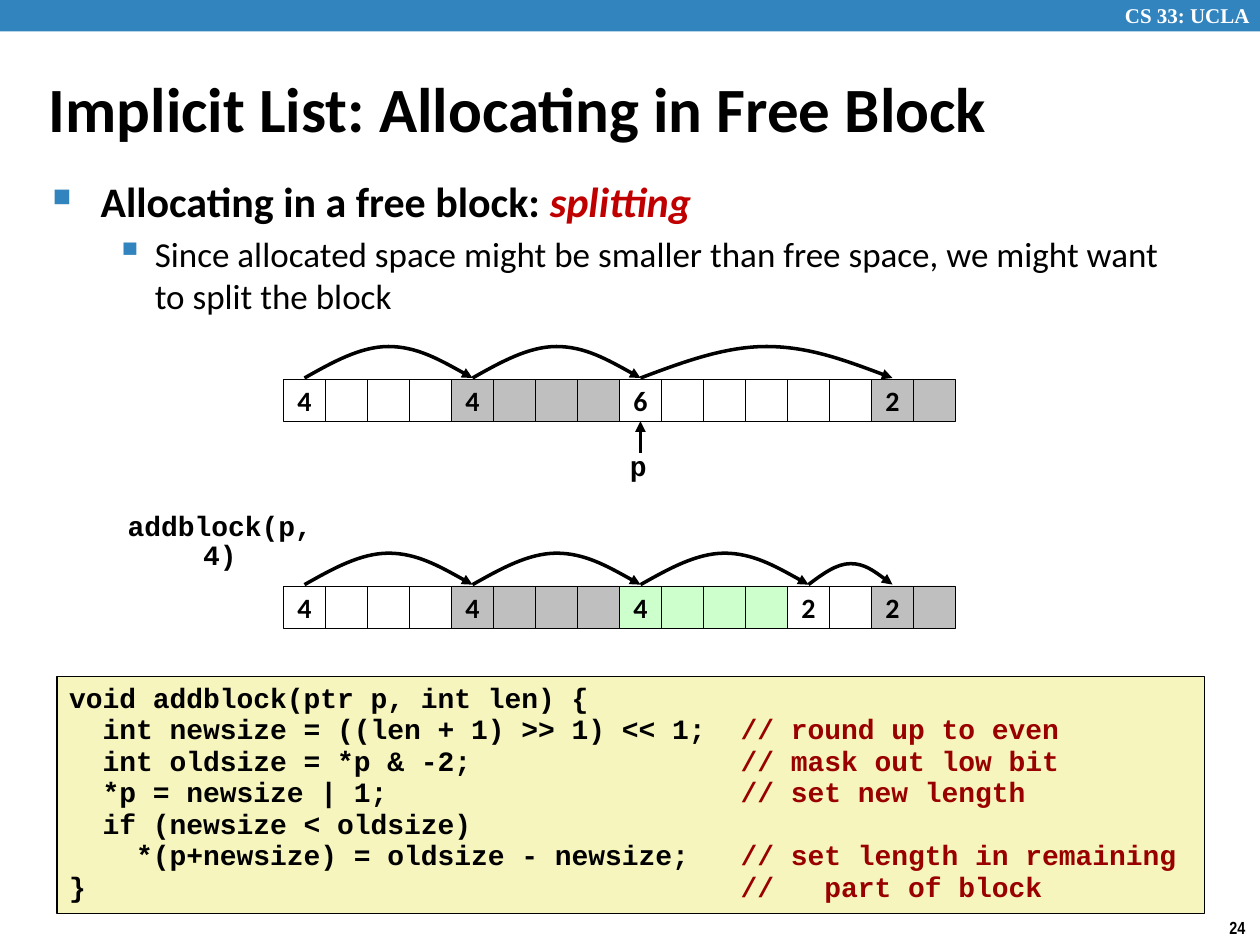
import pptx
import pptx.util
import pptx.dml.color
import pptx.enum.shapes
import pptx.enum.text
import pptx.oxml
import pptx.oxml.ns
import lxml.etree

Inches = pptx.util.Inches
Pt = pptx.util.Pt
qn = pptx.oxml.ns.qn
RECTANGLE = pptx.enum.shapes.MSO_SHAPE.RECTANGLE
CENTER = pptx.enum.text.PP_ALIGN.CENTER
MIDDLE = pptx.enum.text.MSO_ANCHOR.MIDDLE

COLORS = {
    "black": "000000", "white": "FFFFFF", "blue": "3284BF", "red": "C00000",
    "comment": "990000", "code": "F6F5BD", "used": "BFBFBF", "new": "CCFFCC",
}
CELL = 1 / 3
BODY = {"name": "Calibri", "size": Pt(20)}
LABEL = {"name": "Calibri", "size": Pt(16), "bold": True}
CODE = {"name": "Courier New", "size": Pt(16), "bold": True}

# Each block: length in cells, fill, number shown in its first cell
BLOCKS_BEFORE = [(4, "white", "4"), (4, "used", "4"), (6, "white", "6"), (2, "used", "2")]
BLOCKS_AFTER = [(4, "white", "4"), (4, "used", "4"), (4, "new", "4"),
                (2, "white", "2"), (2, "used", "2")]
CODE_LINES = [
    ("void addblock(ptr p, int len) {", ""),
    ("  int newsize = ((len + 1) >> 1) << 1;", "// round up to even"),
    ("  int oldsize = *p & -2;", "// mask out low bit"),
    ("  *p = newsize | 1;", "// set new length"),
    ("  if (newsize < oldsize)", ""),
    ("    *(p+newsize) = oldsize - newsize;", "// set length in remaining"),
    ("}", "//   part of block"),
]


def rgb(name):
    return pptx.dml.color.RGBColor.from_string(COLORS[name])


def add_span(para, text, style, color="black"):
    span = para.add_run()
    span.text = text
    for key, value in style.items():
        setattr(span.font, key, value)
    span.font.color.rgb = rgb(color)


def add_text(page, bounds, text, style, color="black", wrap=False, **para_format):
    box = page.shapes.add_textbox(*map(Inches, bounds))
    box.text_frame.word_wrap = wrap
    para = box.text_frame.paragraphs[0]
    for key, value in para_format.items():
        setattr(para, key, value)
    if text:
        add_span(para, text, style, color)
    return box


def add_rectangle(page, bounds, fill, line_width=None):
    box = page.shapes.add_shape(RECTANGLE, *map(Inches, bounds))
    box.shadow.inherit = False
    box.fill.solid()
    box.fill.fore_color.rgb = rgb(fill)
    if line_width is None:
        box.line.fill.background()
    else:
        box.line.color.rgb = rgb("black")
        box.line.width = Pt(line_width)
    return box


def style_arrow(arrow):
    arrow.line.color.rgb = rgb("black")
    arrow.line.width = Pt(2)
    line = arrow.line._get_or_add_ln()
    lxml.etree.SubElement(line, qn("a:tailEnd"), type="triangle")


def add_bullet(para, char, percent, margin, hanging):
    props = para._p.get_or_add_pPr()
    props.set("marL", str(Inches(margin)))
    props.set("indent", str(-Inches(hanging)))
    color = lxml.etree.SubElement(props, qn("a:buClr"))
    lxml.etree.SubElement(color, qn("a:srgbClr"), val=COLORS["blue"])
    lxml.etree.SubElement(props, qn("a:buSzPct"), val=str(percent * 1000))
    lxml.etree.SubElement(props, qn("a:buChar"), char=char)


def add_arc(page, start, end, base):
    """Draw a curved arrow between two points on the line at height base."""
    width = end - start
    height = min(0.25, width / 4)
    points = [(Inches(start + width * step / 6), Inches(base - height * rise))
              for step, rise in enumerate([0, 0.5, 1, 1, 1, 0.5, 0])]
    builder = page.shapes.build_freeform(*points[0])
    builder.add_line_segments(points[1:], close=False)
    arc = builder.convert_to_shape()
    outline = arc._element.find(".//" + qn("a:path"))
    lines = outline.findall(qn("a:lnTo"))
    for first in (0, 3):
        curve = lxml.etree.SubElement(outline, qn("a:cubicBezTo"))
        for line in lines[first:first + 3]:
            curve.append(line[0])
            outline.remove(line)
    arc.fill.background()
    arc.shadow.inherit = False
    style_arrow(arc)


def add_heap(page, left, top, blocks):
    """Draw the row of cells with its arcs; return the first cell of each block."""
    heads = []
    for length, fill, number in blocks:
        for index in range(length):
            cell = add_rectangle(page, (left + index * CELL, top, CELL, CELL), fill, 0.25)
            if index == 0:
                heads.append(cell)
                frame = cell.text_frame
                frame.word_wrap = False
                frame.vertical_anchor = MIDDLE
                para = frame.paragraphs[0]
                para.alignment = CENTER
                add_span(para, number, LABEL)
        left += length * CELL
    centers = [(head.left + head.width / 2) / Inches(1) for head in heads]
    for start, end in zip(centers, centers[1:]):
        add_arc(page, start, end, top - 0.01)
    return heads


def add_pointer(page, cell, length):
    """Draw the arrow up to the cell and its label p."""
    x = cell.left + cell.width // 2
    bottom = cell.top + cell.height
    arrow = page.shapes.add_connector(
        pptx.enum.shapes.MSO_CONNECTOR.STRAIGHT, x, bottom + Inches(length), x, bottom)
    arrow.end_connect(cell, 2)
    style_arrow(arrow)
    lxml.etree.SubElement(arrow._element.spPr, qn("a:effectLst"))
    add_text(page, (4.9, 3.51, 0.32, 0.37), "p", CODE)


def add_frame(page):
    """Draw the top band, the course name and the page number."""
    add_rectangle(page, (0, 0, 10, 0.25), "blue")
    add_text(page, (8.83, -0.03, 1.24, 0.3), "CS 33: UCLA",
             {"name": "Times New Roman", "size": Pt(12), "bold": True}, "white")
    add_text(page, (9.66, 7.23, 0.34, 0.27), "24",
             {"name": "Arial Narrow", "size": Pt(10), "bold": True})


def add_heading(page):
    title = add_text(page, (0.29, 0.54, 9.42, 0.63), "Implicit List: Allocating in Free Block",
                     {"name": "Calibri", "size": Pt(36), "bold": True}, wrap=True)
    title.text_frame.vertical_anchor = MIDDLE
    strong = {"name": "Calibri", "size": Pt(24), "bold": True}
    body = add_text(page, (0.32, 1.34, 9.09, 1.25), "Allocating in a free block: ", strong,
                    wrap=True, space_before=Pt(4.8))
    para = body.text_frame.paragraphs[0]
    add_span(para, "splitting", {**strong, "italic": True}, "red")
    add_bullet(para, "■", 60, 0.38, 0.38)
    para = body.text_frame.add_paragraph()
    para.level = 1
    para.space_before = Pt(4)
    add_span(para, "Since allocated space might be smaller than free space, "
                   "we might want to split the block", BODY)
    add_bullet(para, "▪", 110, 0.81, 0.31)


def add_code(page, bounds):
    box = add_rectangle(page, bounds, "code", 1)
    frame = box.text_frame
    frame.word_wrap = True
    frame.vertical_anchor = pptx.enum.text.MSO_ANCHOR.TOP
    for index, (code, comment) in enumerate(CODE_LINES):
        para = frame.add_paragraph() if index else frame.paragraphs[0]
        para.alignment = pptx.enum.text.PP_ALIGN.LEFT
        para.line_spacing = 0.94
        add_span(para, code, CODE)
        if comment:
            tabs = lxml.etree.SubElement(para._p.get_or_add_pPr(), qn("a:tabLst"))
            lxml.etree.SubElement(tabs, qn("a:tab"), pos=str(Inches(5.33)), algn="l")
            add_span(para, "\t" + comment, CODE, "comment")


def main():
    deck = pptx.Presentation()
    deck.slide_width, deck.slide_height = Inches(10), Inches(7.5)
    page = deck.slides.add_slide(deck.slide_layouts[6])
    add_frame(page)
    add_heading(page)
    heads = add_heap(page, 2.25, 3.01, BLOCKS_BEFORE)
    add_pointer(page, heads[2], 0.25)
    add_text(page, (0.75, 4.03, 1.99, 0.33), "addblock(p, 4)", CODE,
             alignment=CENTER, line_spacing=0.85)
    add_heap(page, 2.25, 4.65, BLOCKS_AFTER)
    add_code(page, (0.45, 5.37, 9.11, 1.88))
    deck.save("out.pptx")


if __name__ == "__main__":
    main()
